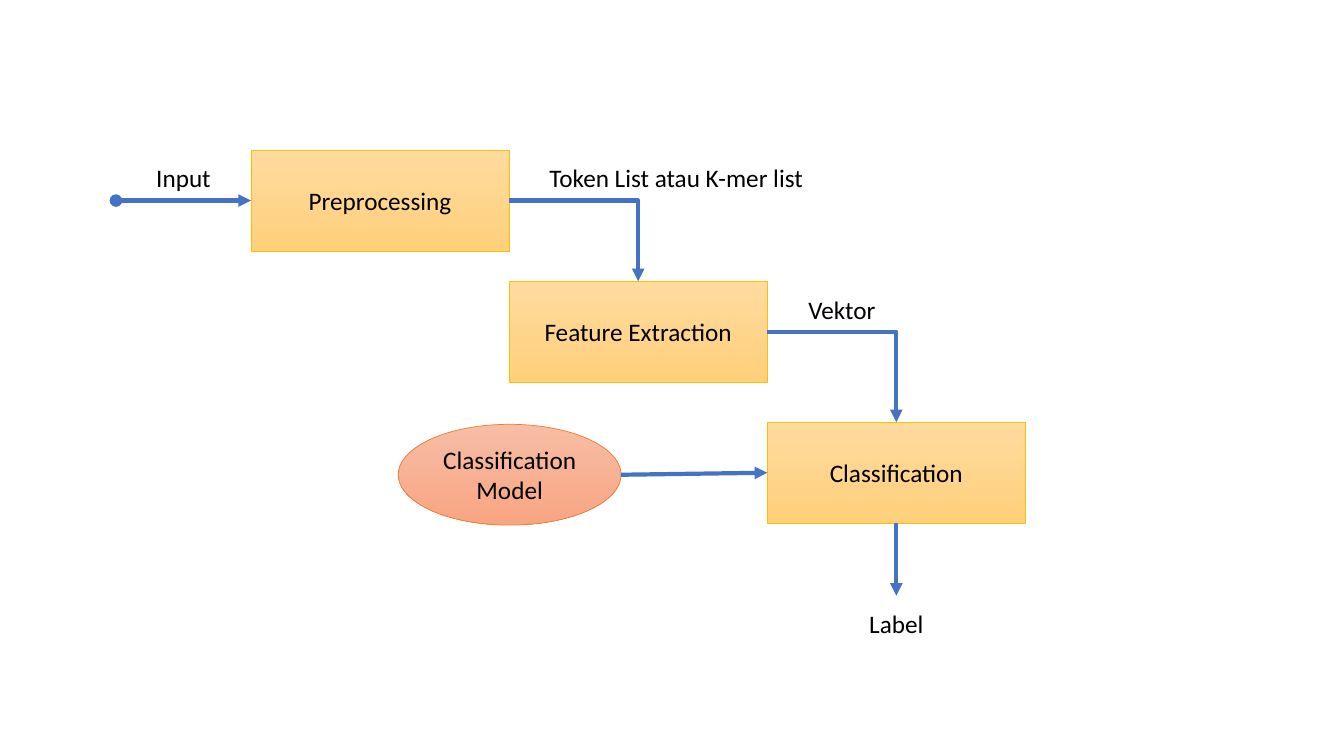
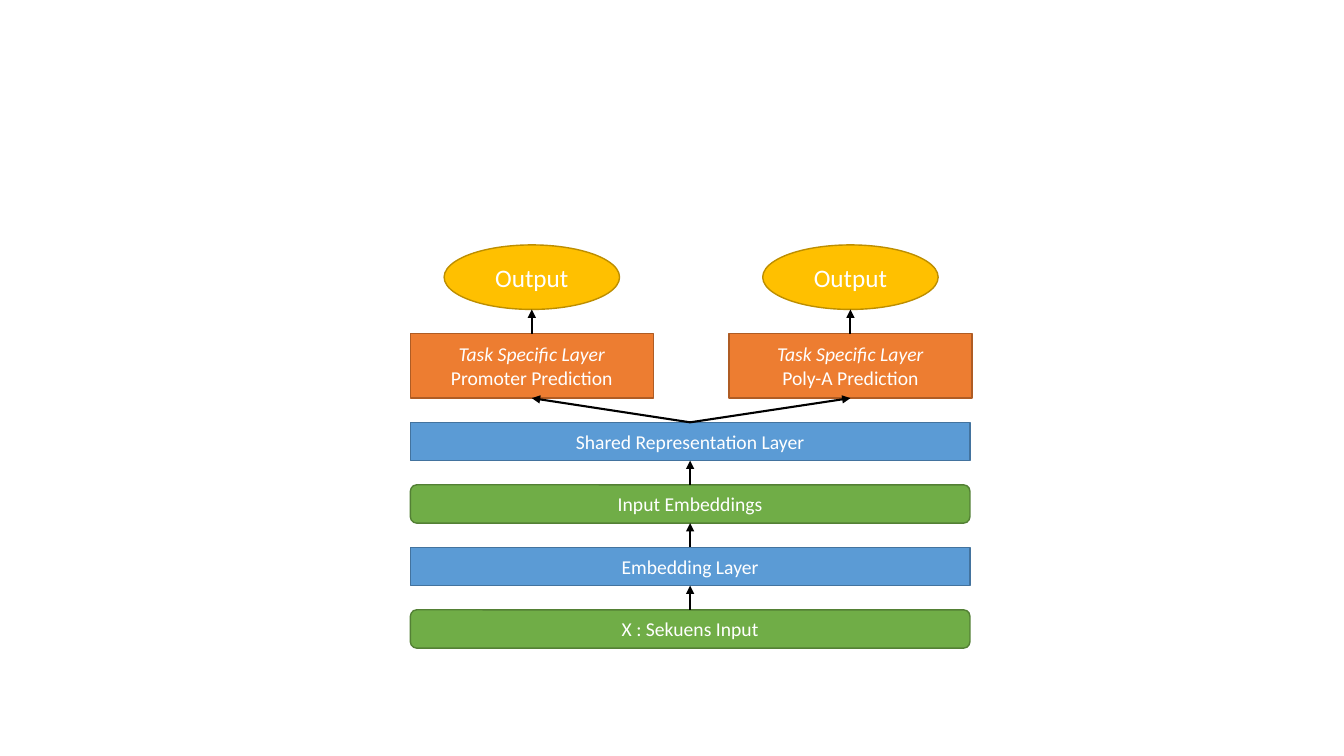
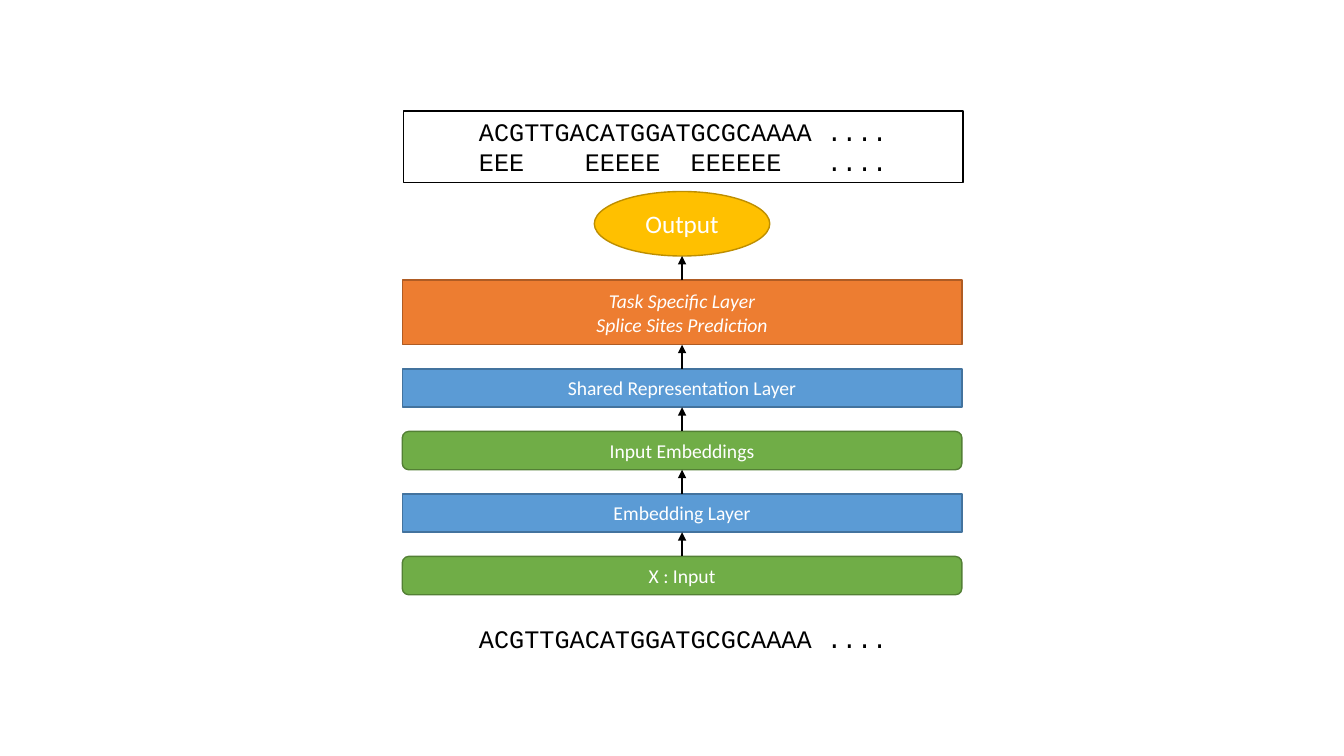
from lxml.etree import SubElement
from pptx import Presentation
from pptx.dml.color import RGBColor
from pptx.enum.shapes import MSO_CONNECTOR, MSO_SHAPE
from pptx.enum.text import MSO_ANCHOR, PP_ALIGN
from pptx.oxml.ns import qn
from pptx.util import Inches, Pt

COLORS = {
    "black": "000000", "white": "FFFFFF", "flow": "4472C4",
    "blue": "5B9BD5", "blue_edge": "43739E",
    "green": "70AD47", "green_edge": "538035",
    "orange": "ED7D31", "orange_edge": "AF5C24",
    "gold": "FFC000", "gold_edge": "BD8E00",
    "amber_top": "FFDB9E", "amber_end": "FFD07C",
    "peach_top": "F7BDA5", "peach_end": "F8A582",
}
RECT, ROUND, OVAL = MSO_SHAPE.RECTANGLE, MSO_SHAPE.ROUNDED_RECTANGLE, MSO_SHAPE.OVAL
TOP, LEFT, BOTTOM, RIGHT = range(4)
SIDES = {TOP: (0.5, 0), LEFT: (0, 0.5), BOTTOM: (0.5, 1), RIGHT: (1, 0.5)}

# Slide 1: a staircase of steps, and labels as text, left, top, width, alignment
STEP_W, STEP_H, STEP_LEFT = 2.56, 1, 2.49
STEPS = [("Preprocessing", 1.49), ("Feature Extraction", 2.79), ("Classification", 4.19)]
LABELS = [
    ("Input", 1.33, 1.56, 0.98, PP_ALIGN.CENTER),
    ("Token List atau K-mer list", 5.35, 1.56, 3.06, PP_ALIGN.LEFT),
    ("Vektor", 7.61, 2.87, 1.48, PP_ALIGN.CENTER),
    ("Label", 8.15, 5.99, 1.48, PP_ALIGN.CENTER),
]

# Slides 2 and 3: layers from the bottom up, then branches with an output each
STACK_W, LAYER_H, TASK_H, GAP, OUTPUT_W = 5.55, 0.38, 0.64, 0.24, 1.74
LAYERS = [("green", ROUND, None), ("blue", RECT, "Embedding Layer"),
          ("green", ROUND, "Input Embeddings"),
          ("blue", RECT, "Shared Representation Layer")]
TASK = "Task Specific Layer"
STACKS = [
    dict(left=4.07, bottom=6.43, source="X : Sekuens Input", branches=[
        (0, 2.41, [(TASK, True), ("Promoter Prediction", False)]),
        (3.16, 2.41, [(TASK, True), ("Poly-A Prediction", False)])]),
    dict(left=3.99, bottom=5.9, source="X : Input", branches=[
        (0, STACK_W, [(TASK, True), ("Splice Sites Prediction", True)])]),
]
SEQUENCE = "ACGTTGACATGGATGCGCAAAA ...."
EXONS = [(0, "EEE"), (7, "EEEEE"), (14, "EEEEEE"), (23, "....")]
CHAR_W = 0.15


def rgb(name):
    return RGBColor.from_string(COLORS[name])


def write(shape, lines, size=18, color="black", font="Calibri", align=PP_ALIGN.CENTER):
    """Write lines of (text, italic), one paragraph each."""
    tf = shape.text_frame
    tf.word_wrap = True
    for i, (text, italic) in enumerate(lines):
        p = tf.add_paragraph() if i else tf.paragraphs[0]
        p.alignment = align
        r = p.add_run()
        r.text = text
        r.font.name, r.font.size, r.font.italic = font, Pt(size), italic
        r.font.color.rgb = rgb(color)
    return tf


def add_label(s, text, left, top, width, align=PP_ALIGN.CENTER, font="Calibri"):
    box = s.shapes.add_textbox(*map(Inches, (left, top, width, 0.4)))
    write(box, [(text, False)], font=font, align=align)


def add_box(s, kind, at, fill, edge, edge_w=1):
    """Add a shape; fill is a colour, a (top, end) gradient or None."""
    sp = s.shapes.add_shape(kind, *map(Inches, at))
    sp.shadow.inherit = False
    sp.line.color.rgb, sp.line.width = rgb(edge), Pt(edge_w)
    if fill is None:
        sp.fill.background()
    elif isinstance(fill, tuple):
        sp.fill.gradient()
        sp.fill.gradient_angle = 270
        for stop, name in zip(sp.fill.gradient_stops, fill):
            stop.color.rgb = rgb(name)
    else:
        sp.fill.solid()
        sp.fill.fore_color.rgb = rgb(fill)
    sp.text_frame.vertical_anchor = MSO_ANCHOR.MIDDLE
    return sp


def locate(spot):
    """Turn (shape, side) or (x, y) in inches into a point."""
    a, b = spot
    if isinstance(a, (int, float)):
        return Inches(a), Inches(b)
    fx, fy = SIDES[b]
    return int(a.left + fx * a.width), int(a.top + fy * a.height)


def add_arrow(s, start, end, color="black", width=1.5, bent=False, head=None):
    kind = MSO_CONNECTOR.ELBOW if bent else MSO_CONNECTOR.STRAIGHT
    cx = s.shapes.add_connector(kind, *locate(start), *locate(end))
    for (target, side), connect in ((start, cx.begin_connect), (end, cx.end_connect)):
        if not isinstance(target, (int, float)) and target.auto_shape_type != OVAL:
            connect(target, side)
    cx.line.color.rgb, cx.line.width = rgb(color), Pt(width)
    spPr = cx._element.spPr
    if bent:
        spPr.find(qn("a:prstGeom")).set("prst", "bentConnector2")
    ln = spPr.find(qn("a:ln"))
    if head:
        SubElement(ln, qn("a:headEnd")).set("type", head)
    SubElement(ln, qn("a:tailEnd")).set("type", "triangle")
    SubElement(spPr, qn("a:effectLst"))


def build_flow(s):
    steps = []
    for i, (text, top) in enumerate(STEPS):
        at = (STEP_LEFT + i * STEP_W, top, STEP_W, STEP_H)
        sp = add_box(s, RECT, at, ("amber_top", "amber_end"), "gold", 0.5)
        write(sp, [(text, False)])
        steps.append(sp)
    model = add_box(s, OVAL, (3.95, 4.21, 2.21, STEP_H),
                    ("peach_top", "peach_end"), "orange", 0.5)
    write(model, [("Classification Model", False)])

    flow = dict(color="flow", width=3)
    for a, b in zip(steps, steps[1:]):
        add_arrow(s, (a, RIGHT), (b, TOP), bent=True, **flow)
    add_arrow(s, (1.15, 1.99), (steps[0], LEFT), head="oval", **flow)
    add_arrow(s, (steps[-1], BOTTOM), (8.89, 5.91), **flow)
    add_arrow(s, (model, RIGHT), (steps[-1], LEFT), **flow)
    for label in LABELS:
        add_label(s, *label)


def build_stack(s, left, bottom, source, branches):
    # Layers, each with an arrow from the one below
    below = None
    for i, (color, kind, text) in enumerate(LAYERS):
        top = bottom - LAYER_H - i * (LAYER_H + GAP)
        layer = add_box(s, kind, (left, top, STACK_W, LAYER_H), color, color + "_edge")
        write(layer, [(text or source, False)], 14, "white")
        if below:
            add_arrow(s, (below, TOP), (layer, BOTTOM))
        below = layer

    # Task layers and their outputs
    task_top = top - GAP - TASK_H
    output_top = task_top - GAP - TASK_H
    for offset, width, lines in branches:
        x = left + offset
        task = add_box(s, RECT, (x, task_top, width, TASK_H), "orange", "orange_edge")
        write(task, lines, 14, "white")
        output = add_box(s, OVAL, (x + (width - OUTPUT_W) / 2, output_top, OUTPUT_W, TASK_H),
                         "gold", "gold_edge")
        write(output, [("Output", False)], 18, "white")
        add_arrow(s, (below, TOP), (task, BOTTOM))
        add_arrow(s, (task, TOP), (output, BOTTOM))


def build_sequences(s):
    add_label(s, SEQUENCE, 4, 6.13, STACK_W, font="Courier New")
    box = add_box(s, RECT, (4, 1.1, STACK_W, 0.71), None, "black")
    exons = "\t".join(text for _, text in EXONS)
    tf = write(box, [(SEQUENCE, False), (exons, False)],
               font="Courier New", align=PP_ALIGN.LEFT)
    tf.margin_left = Inches((STACK_W - len(SEQUENCE) * CHAR_W) / 2)
    # Tab stops put each exon under its place in the sequence
    tabs = SubElement(tf.paragraphs[1]._p.get_or_add_pPr(), qn("a:tabLst"))
    for column, _ in EXONS[1:]:
        tab = SubElement(tabs, qn("a:tab"))
        tab.set("pos", str(Inches(column * CHAR_W)))
        tab.set("algn", "l")


def main():
    prs = Presentation()
    prs.slide_width, prs.slide_height = Inches(13.33), Inches(7.5)
    flow, multi, splice = [prs.slides.add_slide(prs.slide_layouts[6]) for _ in range(3)]
    build_flow(flow)
    for s, stack in zip((multi, splice), STACKS):
        build_stack(s, **stack)
    build_sequences(splice)
    prs.save("out.pptx")


if __name__ == "__main__":
    main()
